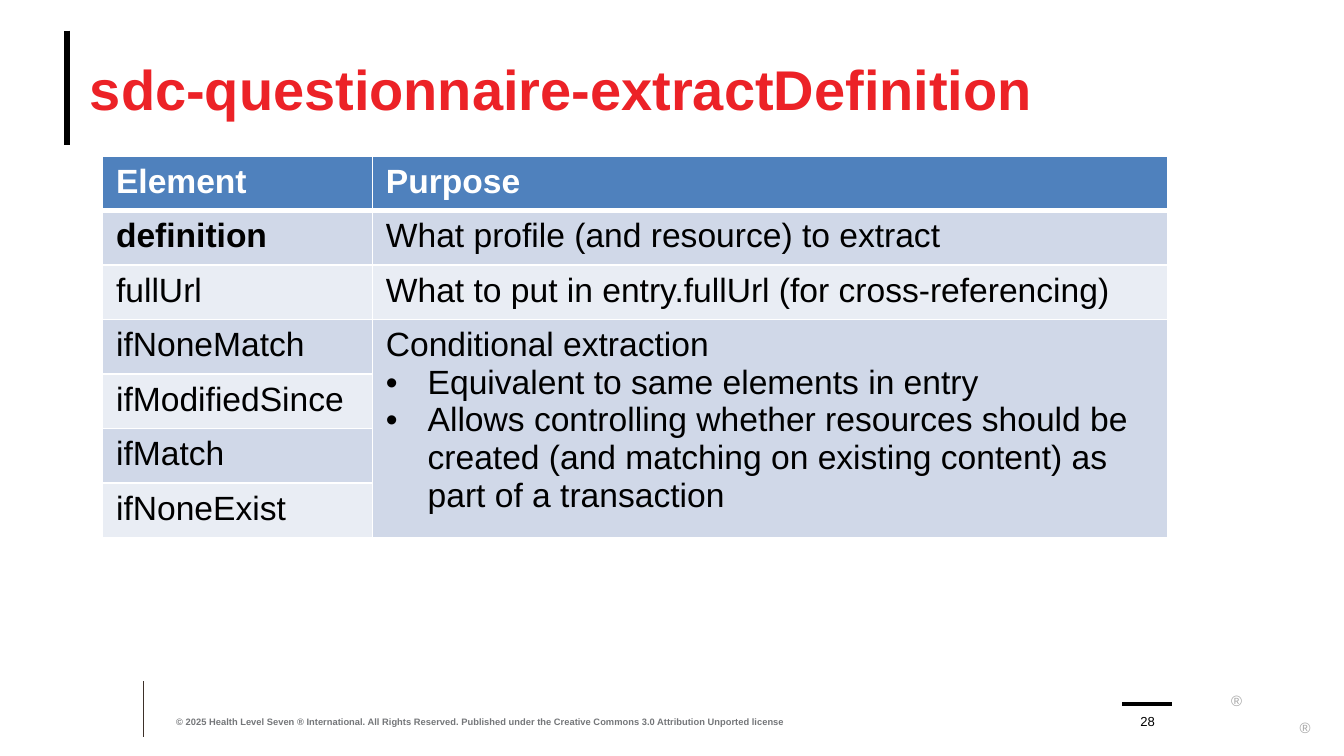
from pptx import Presentation
from pptx.dml.color import RGBColor
from pptx.enum.shapes import MSO_CONNECTOR
from pptx.enum.text import MSO_ANCHOR, PP_ALIGN
from pptx.oxml.ns import qn
from pptx.util import Cm, Pt
from lxml.etree import SubElement

# Content
TITLE = "sdc-questionnaire-extractDefinition"
COPYRIGHT = ("© 2025 Health Level Seven ® International. All Rights Reserved. "
             "Published under the Creative Commons 3.0 Attribution Unported license")
PAGE_NUMBER = "28"
ROWS = [
    ("Element", ["Purpose"]),
    ("definition", ["What profile (and resource) to extract"]),
    ("fullUrl", ["What to put in entry.fullUrl (for cross-referencing)"]),
    ("ifNoneMatch", [
        "Conditional extraction",
        "Equivalent to same elements in entry",
        "Allows controlling whether resources should be created "
        "(and matching on existing content) as part of a transaction",
    ]),
    ("ifModifiedSince", []),
    ("ifMatch", []),
    ("ifNoneExist", []),
]
MERGE_START = 3
BOLD_ROWS = {("Element", 0), ("Element", 1), ("definition", 0)}

# Lines: x1, y1, x2, y2 in cm, colour, width in points
RULES = [
    (1.27, 0.58, 1.27, 2.74, "000000", 3.25),
    (2.72, 12.88, 2.72, 13.94, "3D3029", 0.5),
    (21.21, 13.31, 22.15, 13.31, "000000", 2),
]
# Texts: wording, (left, top, width, height) in cm, size, colour, bold, anchor, alignment
TEXTS = [
    ("®", (23.27, 13.08, 0.28, 0.23), 8, "A6A6A6", False, MSO_ANCHOR.TOP, PP_ALIGN.LEFT),
    ("®", (24.56, 13.59, 0.28, 0.23), 8, "A6A6A6", False, MSO_ANCHOR.TOP, PP_ALIGN.LEFT),
    (TITLE, (1.7, 0.58, 22.86, 2.18), 30, "EC2227", True, MSO_ANCHOR.MIDDLE, PP_ALIGN.LEFT),
    (COPYRIGHT, (3.33, 13.31, 12.57, 0.43), 5, "747679", True, MSO_ANCHOR.BOTTOM, PP_ALIGN.LEFT),
    (PAGE_NUMBER, (21.31, 13.31, 0.76, 0.48), 7, "000000", False, MSO_ANCHOR.BOTTOM, PP_ALIGN.CENTER),
]
HEADER_FILL, BAND_FILLS = "4F81BD", ("E9EDF4", "D0D8E8")


def color(value):
    return RGBColor.from_string(value)


def style(para, size, hex_color, bold):
    for span in para.runs:
        span.font.name = "Arial"
        span.font.size = Pt(size)
        span.font.bold = bold
        span.font.color.rgb = color(hex_color)


def add_rule(page, x1, y1, x2, y2, hex_color, width):
    rule = page.shapes.add_connector(
        MSO_CONNECTOR.STRAIGHT, Cm(x1), Cm(y1), Cm(x2), Cm(y2))
    rule.line.color.rgb = color(hex_color)
    rule.line.width = Pt(width)
    SubElement(rule._element.spPr, qn("a:effectLst"))


def add_text(page, wording, place, size, hex_color, bold, anchor, align):
    frame = page.shapes.add_textbox(*map(Cm, place)).text_frame
    frame.margin_left = frame.margin_top = frame.margin_right = frame.margin_bottom = 0
    frame.word_wrap = len(wording) > 1
    frame.vertical_anchor = anchor
    frame.text = wording
    frame.paragraphs[0].alignment = align
    style(frame.paragraphs[0], size, hex_color, bold)


def add_bullet(para):
    properties = para._p.get_or_add_pPr()
    properties.set("marL", str(Cm(0.79)))
    properties.set("indent", str(-Cm(0.79)))
    SubElement(properties, qn("a:buFont"), typeface="Arial")
    SubElement(properties, qn("a:buChar"), char="•")


def set_borders(cell, row):
    properties = cell._tc.get_or_add_tcPr()
    widths = {"L": 1, "R": 1, "T": 3 if row == 1 else 1, "B": 3 if row == 0 else 1}
    for side, width in widths.items():
        line = SubElement(properties, qn(f"a:ln{side}"), w=str(Pt(width)))
        fill = SubElement(line, qn("a:solidFill"))
        SubElement(fill, qn("a:srgbClr"), val="FFFFFF")


def add_element_table(page):
    table = page.shapes.add_table(
        len(ROWS), 2, Cm(1.94), Cm(2.95), Cm(20.14), Cm(7.21)).table
    for column, width in zip(table.columns, (5.1, 15.04)):
        column.width = Cm(width)
    for row, (element, purpose) in enumerate(ROWS):
        table.rows[row].height = Cm(1.03)
        for col, lines in enumerate(([element], purpose)):
            cell = table.cell(row, col)
            set_borders(cell, row)
            cell.fill.solid()
            cell.fill.fore_color.rgb = color(BAND_FILLS[row % 2] if row else HEADER_FILL)
            cell.text_frame.text = "\n".join(lines)
            for number, para in enumerate(cell.text_frame.paragraphs):
                if number:
                    add_bullet(para)
                style(para, 18, "000000" if row else "FFFFFF", (element, col) in BOLD_ROWS)
    table.cell(MERGE_START, 1).merge(table.cell(len(ROWS) - 1, 1))


deck = Presentation()
deck.slide_width, deck.slide_height = Cm(25.4), Cm(14.29)
page = deck.slides.add_slide(deck.slide_layouts[6])

# Rules, title and footer
for rule in RULES:
    add_rule(page, *rule)
for text in TEXTS:
    add_text(page, *text)

# Table of elements
add_element_table(page)

deck.save("out.pptx")
